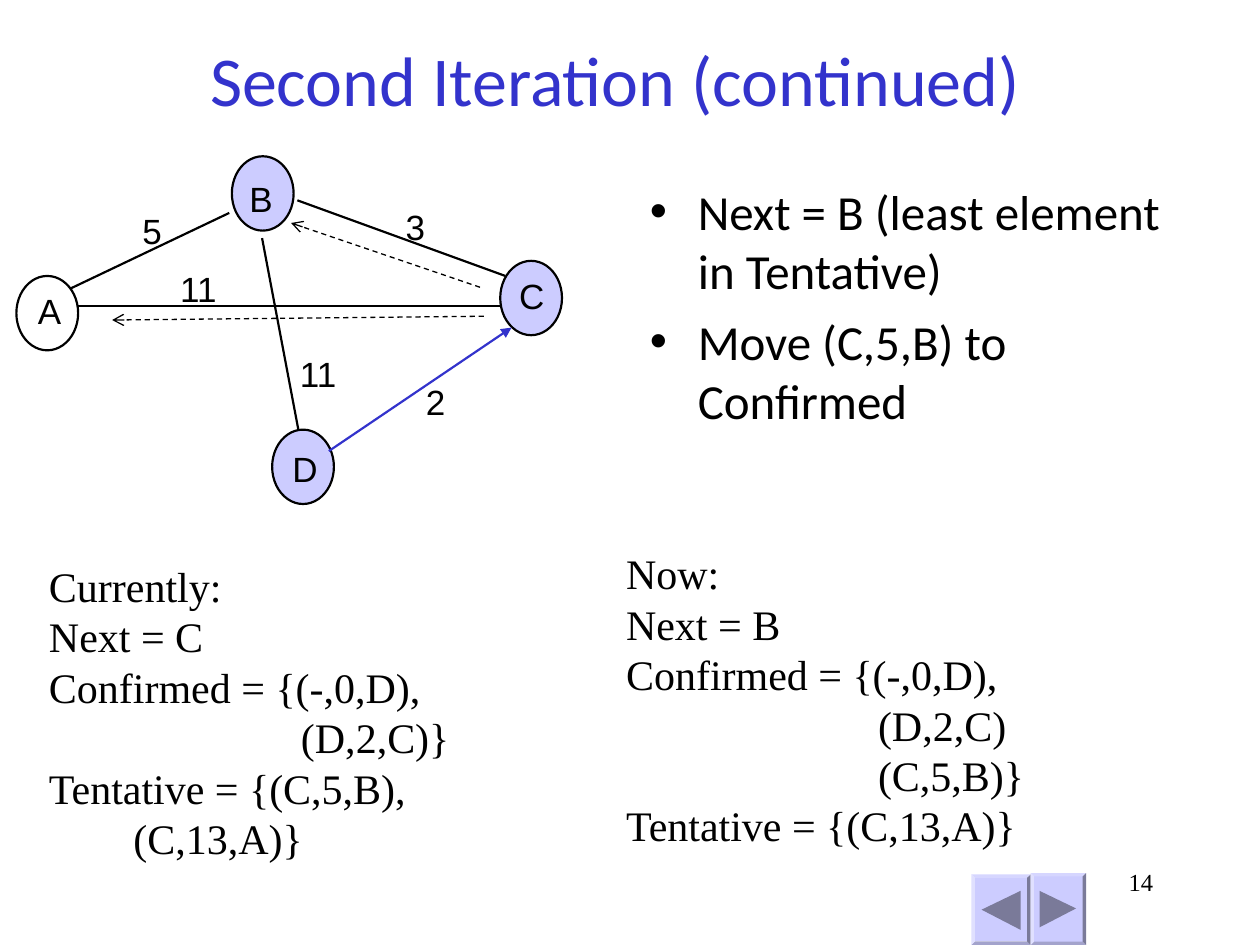
import lxml.etree
import pptx
import pptx.dml.color
import pptx.enum.dml
import pptx.enum.shapes
import pptx.enum.text
import pptx.oxml.ns
import pptx.util
from pptx.util import Inches

COLORS = {
    "text": "000000",
    "accent": "3333CC",
    "node": "CCCCFF",
    "button_arrow": "7A7A99",
}
ALIGN = pptx.enum.text.PP_ALIGN
SHAPES = pptx.enum.shapes.MSO_SHAPE


def rgb(name):
    return pptx.dml.color.RGBColor.from_string(COLORS[name])


def add_xml(parent, tag, **attributes):
    return lxml.etree.SubElement(parent, pptx.oxml.ns.qn(tag), attributes)


def format_text(paragraph, font_name, size, color="text"):
    for run in paragraph.runs:
        run.font.name = font_name
        run.font.size = pptx.util.Pt(size)
        run.font.color.rgb = rgb(color)


def add_text(slide, box, lines, font_name, size, align=ALIGN.LEFT, margins=(0.1, 0.05)):
    shape = slide.shapes.add_textbox(*map(Inches, box))
    frame = shape.text_frame
    frame.word_wrap = True
    frame.margin_left = frame.margin_right = Inches(margins[0])
    frame.margin_top = frame.margin_bottom = Inches(margins[1])
    frame.text = "\n".join(lines)
    for paragraph in frame.paragraphs:
        paragraph.alignment = align
        format_text(paragraph, font_name, size)
    return frame


def add_label(slide, left, top, text):
    frame = add_text(slide, (left, top, 0.31, 0.33), [text], "Arial", 20, margins=(0, 0))
    frame.word_wrap = False


def add_line(slide, start, end, color="text", width=1.25, dashed=False, arrow=None):
    line = slide.shapes.add_connector(
        pptx.enum.shapes.MSO_CONNECTOR.STRAIGHT, *map(Inches, start + end))
    line.line.color.rgb = rgb(color)
    line.line.width = pptx.util.Pt(width)
    if dashed:
        line.line.dash_style = pptx.enum.dml.MSO_LINE.DASH
    if arrow:
        add_xml(line.line._get_or_add_ln(), "a:tailEnd", type=arrow)
    add_xml(line._element.spPr, "a:effectLst")


def set_title(slide, box, text):
    title = slide.shapes.title
    title.left, title.top, title.width, title.height = map(Inches, box)
    title.text_frame.text = text
    title.text_frame.vertical_anchor = pptx.enum.text.MSO_ANCHOR.MIDDLE
    title.text_frame.paragraphs[0].alignment = ALIGN.CENTER
    format_text(title.text_frame.paragraphs[0], "Calibri", 40, "accent")


def add_graph(slide, left, top):
    def place(x, y):
        return left + x, top + y

    # Nodes: name, position, label position, fill
    nodes = [
        ("A", (0, 0.95), (0.17, 1.06), None),
        ("B", (1.71, 0), (1.85, 0.17), "node"),
        ("C", (3.84, 0.83), (3.99, 0.94), "node"),
        ("D", (2.03, 2.17), (2.19, 2.31), "node"),
    ]
    for name, corner, label, fill in nodes:
        node = slide.shapes.add_shape(
            SHAPES.OVAL, *map(Inches, place(*corner) + (0.49, 0.59)))
        node.shadow.inherit = False
        if fill:
            node.fill.solid()
            node.fill.fore_color.rgb = rgb(fill)
        else:
            node.fill.background()
        node.line.color.rgb = rgb("text")
        node.line.width = pptx.util.Pt(1.25)
        add_label(slide, *place(*label), name)

    # Edges with their weights: start, end, weight, weight position
    edges = [
        ((0.43, 1.05), (1.69, 0.45), "5", (1, 0.42)),
        ((0.48, 1.19), (3.84, 1.19), "11", (1.3, 0.88)),
        ((1.95, 0.65), (2.24, 2.18), "11", (2.25, 1.56)),
        ((2.23, 0.35), (3.88, 0.95), "3", (3.09, 0.39)),
    ]
    for start, end, weight, label in edges:
        add_line(slide, place(*start), place(*end))
        add_label(slide, *place(*label), weight)

    # Confirmed edge from D to C
    add_line(slide, place(2.48, 2.34), place(3.93, 1.36), "accent", arrow="triangle")
    add_label(slide, *place(3.25, 1.78), "2")

    # Dashed arrows from C to its neighbours
    for start, end in [((3.71, 1.27), (0.76, 1.3)), ((3.68, 1.04), (2.18, 0.53))]:
        add_line(slide, place(*start), place(*end), width=0.75, dashed=True, arrow="arrow")


def add_bullets(slide, box, lines):
    frame = add_text(slide, box, lines, "Calibri", 28)
    for paragraph in frame.paragraphs:
        paragraph.space_before = pptx.util.Pt(7)
        properties = paragraph._p.get_or_add_pPr()
        properties.set("marL", str(Inches(0.38)))
        properties.set("indent", str(Inches(-0.38)))
        add_xml(properties, "a:buFont", typeface="Arial")
        add_xml(properties, "a:buChar", char="•")


def add_state(slide, box, lines):
    """Each line is a pair of text and left indent in inches."""
    frame = add_text(slide, box, [text for text, _ in lines], "Times New Roman", 24)
    for paragraph, (_, indent) in zip(frame.paragraphs, lines):
        if indent:
            paragraph._p.get_or_add_pPr().set("marL", str(Inches(indent)))


def add_button(slide, box, triangle):
    button = slide.shapes.add_shape(SHAPES.BEVEL, *map(Inches, box))
    button.adjustments[0] = 0.06
    button.shadow.inherit = False
    button.fill.solid()
    button.fill.fore_color.rgb = rgb("node")
    button.line.fill.background()
    left, top = box[:2]
    points = [(Inches(left + x), Inches(top + y)) for x, y in triangle]
    builder = slide.shapes.build_freeform(*points[0])
    builder.add_line_segments(points[1:], close=True)
    arrow = builder.convert_to_shape()
    arrow.shadow.inherit = False
    arrow.fill.solid()
    arrow.fill.fore_color.rgb = rgb("button_arrow")
    arrow.line.fill.background()


def main():
    presentation = pptx.Presentation()
    presentation.slide_width = Inches(10)
    presentation.slide_height = Inches(7.5)
    slide = presentation.slides.add_slide(presentation.slide_layouts[5])

    # Navigation buttons and slide number
    add_button(slide, (7.71, 6.94, 0.47, 0.56), [(0.08, 0.28), (0.39, 0.13), (0.39, 0.44)])
    add_button(slide, (8.18, 6.93, 0.44, 0.57), [(0.07, 0.14), (0.36, 0.28), (0.07, 0.43)])
    add_text(slide, (7.17, 6.83, 2.08, 0.5), ["14"], "Times New Roman", 14, ALIGN.RIGHT)

    set_title(slide, (0.63, 0, 8.5, 1.25), "Second Iteration (continued)")
    add_graph(slide, 0.13, 1.24)
    add_bullets(slide, (5.06, 1.39, 4.42, 2.56), [
        "Next = B (least element in Tentative)",
        "Move (C,5,B) to Confirmed",
    ])

    # State before and after the step
    add_state(slide, (0.29, 4.4, 3.61, 2.5), [
        ("Currently:", 0),
        ("Next = C", 0),
        ("Confirmed = {(-,0,D),", 0),
        ("(D,2,C)}", 2),
        ("Tentative = {(C,5,B),", 0),
        ("(C,13,A)}", 0.67),
    ])
    add_state(slide, (4.87, 4.3, 3.61, 2.5), [
        ("Now:", 0),
        ("Next = B", 0),
        ("Confirmed = {(-,0,D),", 0),
        ("(D,2,C)", 2),
        ("(C,5,B)}", 2),
        ("Tentative = {(C,13,A)}", 0),
    ])
    presentation.save("out.pptx")


if __name__ == "__main__":
    main()
